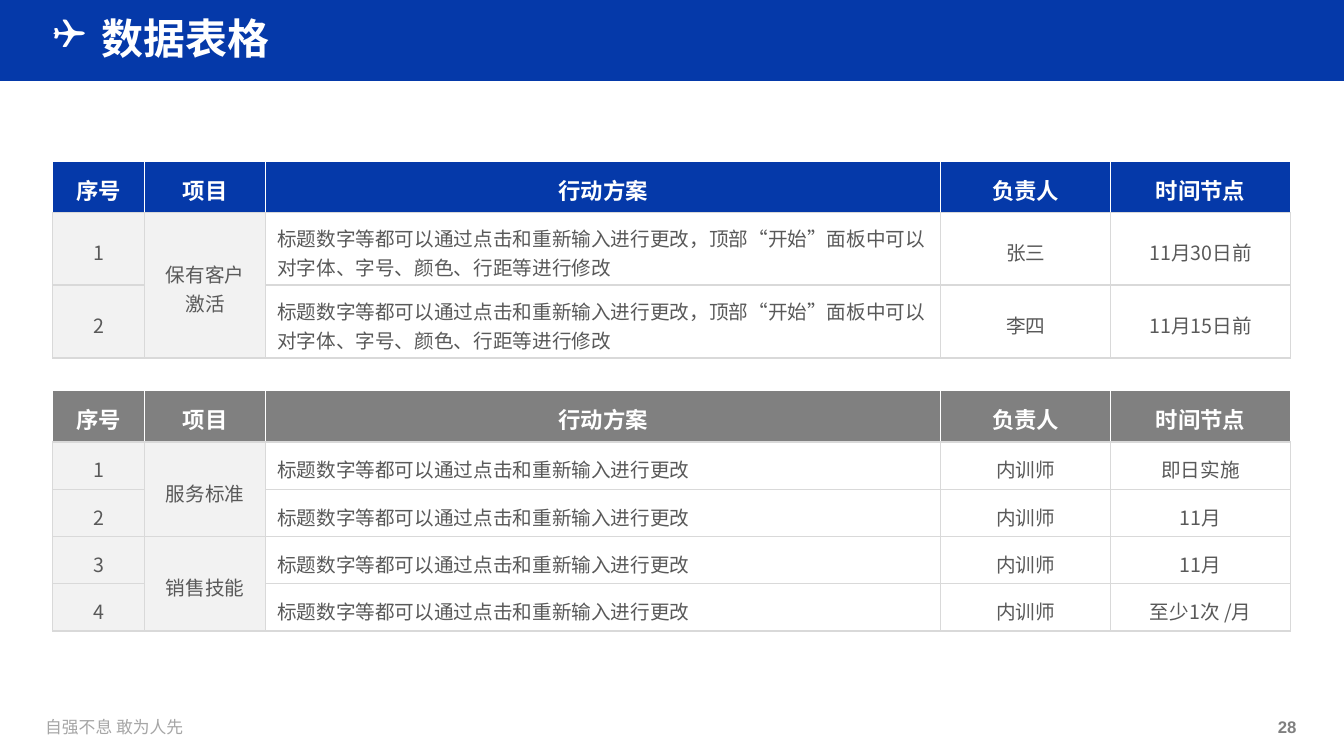
from dataclasses import dataclass

from lxml.etree import SubElement
from pptx import Presentation
from pptx.dml.color import RGBColor
from pptx.enum.shapes import MSO_SHAPE
from pptx.enum.text import MSO_ANCHOR as Anchor, PP_ALIGN as Align
from pptx.oxml.ns import qn
from pptx.util import Emu, Pt

EMU_PER_PX = 9525


@dataclass(frozen=True)
class Theme:
    blue: str = "0539A9"
    gray: str = "808080"
    pale: str = "F2F2F2"
    white: str = "FFFFFF"
    border: str = "D9D9D9"
    body: str = "595959"
    motto: str = "A6A6A6"
    font: str = "Noto Sans CJK SC"
    number_font: str = "Arial"
    title_size: int = 30
    header_size: int = 16
    body_size: int = 14
    footer_size: int = 12


THEME = Theme()
COLUMNS = [88, 115, 643, 162, 171]
HEADERS = ["序号", "项目", "行动方案", "负责人", "时间节点"]
SHORT_PLAN = "标题数字等都可以通过点击和重新输入进行更改"
LONG_PLAN = SHORT_PLAN + "，顶部“开始”面板中可以对字体、字号、颜色、行距等进行修改"
CLIENT_PROJECTS = [
    ("保有客户激活", [(LONG_PLAN, "张三", "11月30日前"),
                (LONG_PLAN, "李四", "11月15日前")]),
]
TRAINING_PROJECTS = [
    ("服务标准", [(SHORT_PLAN, "内训师", "即日实施"),
              (SHORT_PLAN, "内训师", "11月")]),
    ("销售技能", [(SHORT_PLAN, "内训师", "11月"),
              (SHORT_PLAN, "内训师", "至少1次 /月")]),
]


def px(*lengths):
    return [Emu(length * EMU_PER_PX) for length in lengths]


def apply(target, values):
    for name, value in values.items():
        setattr(target, name, value)


def paint(fill, color):
    fill.solid()
    fill.fore_color.rgb = RGBColor.from_string(color)


def write(paragraph, text, size, color, bold=False, font=THEME.font, align=Align.LEFT):
    """Fill a paragraph, naming the font for Latin and East Asian text."""
    paragraph.alignment = align
    run = paragraph.add_run()
    run.text = text
    apply(run.font, {"size": Pt(size), "bold": bold, "name": font})
    run.font.color.rgb = RGBColor.from_string(color)
    SubElement(run.font._element, qn("a:ea"), typeface=font)


def clear_insets(frame):
    apply(frame, {"margin_left": 0, "margin_right": 0, "margin_top": 0, "margin_bottom": 0})


def add_banner(slide):
    banner = slide.shapes.add_shape(MSO_SHAPE.RECTANGLE, *px(0, 0, 1280, 77))
    banner.shadow.inherit = False
    paint(banner.fill, THEME.blue)
    banner.line.fill.background()
    # The banner lies behind the title.
    slide.shapes._spTree.insert(2, banner._element)


def set_title(slide, text):
    title = slide.shapes.title
    apply(title, dict(zip(("left", "top", "width", "height"), px(50, 17, 1179, 43))))
    frame = title.text_frame
    clear_insets(frame)
    apply(frame, {"vertical_anchor": Anchor.MIDDLE, "word_wrap": True})
    paragraph = frame.paragraphs[0]
    paragraph.line_spacing = 0.9
    indent, = px(47)
    properties = paragraph._p.get_or_add_pPr()
    properties.set("marL", str(indent))
    properties.set("indent", str(-indent))
    SubElement(properties, qn("a:buFont"), typeface="Wingdings")
    SubElement(properties, qn("a:buChar"), char="❑")
    write(paragraph, text, THEME.title_size, THEME.white, bold=True)


def add_label(slide, box, text, color, **style):
    label = slide.shapes.add_textbox(*px(*box))
    frame = label.text_frame
    clear_insets(frame)
    apply(frame, {"word_wrap": False, "vertical_anchor": Anchor.MIDDLE})
    write(frame.paragraphs[0], text, THEME.footer_size, color, **style)


def add_borders(cell, sides):
    properties = cell._tc.get_or_add_tcPr()
    for index, side in enumerate(sides):
        line = SubElement(properties, qn(f"a:ln{side}"), w=str(Pt(1)))
        color = SubElement(SubElement(line, qn("a:solidFill")), qn("a:srgbClr"))
        color.set("val", THEME.border)
        properties.insert(index, line)


def fill_cell(cell, text, fill, sides="LRTB", anchor=Anchor.MIDDLE, **style):
    top, bottom, side = px(11, 4, 11)
    apply(cell, {"margin_left": side, "margin_right": side, "margin_top": top,
                 "margin_bottom": bottom, "vertical_anchor": anchor})
    paint(cell.fill, fill)
    add_borders(cell, sides)
    if text:
        write(cell.text_frame.paragraphs[0], text, **style)


def add_plan_table(slide, top, header_height, row_height, header_fill, projects):
    row_total = 1 + sum(len(plans) for _, plans in projects)
    height = header_height + row_height * (row_total - 1)
    frame = slide.shapes.add_table(row_total, len(COLUMNS), *px(50, top, sum(COLUMNS), height))
    table = frame.table
    apply(table, {"first_row": False, "horz_banding": False})
    for column, width in zip(table.columns, px(*COLUMNS)):
        column.width = width
    for row, length in zip(table.rows, px(header_height, *[row_height] * (row_total - 1))):
        row.height = length

    for column, header in enumerate(HEADERS):
        fill_cell(table.cell(0, column), header, header_fill, sides="B", anchor=Anchor.TOP,
                  size=THEME.header_size, color=THEME.white, bold=True, align=Align.CENTER)
    number = 1
    for project, plans in projects:
        first = number
        for plan in plans:
            name = project if number == first else ""
            for column, text in enumerate((str(number), name, *plan)):
                fill_cell(table.cell(number, column), text,
                          THEME.pale if column < 2 else THEME.white,
                          size=THEME.body_size, color=THEME.body,
                          align=Align.LEFT if column == 2 else Align.CENTER)
            number += 1
        table.cell(first, 1).merge(table.cell(number - 1, 1))


def main():
    presentation = Presentation()
    presentation.slide_width, presentation.slide_height = px(1280, 720)
    slide = presentation.slides.add_slide(presentation.slide_layouts[5])
    add_banner(slide)
    set_title(slide, "数据表格")
    add_plan_table(slide, 372, 49, 45, THEME.gray, TRAINING_PROJECTS)
    add_plan_table(slide, 154, 48, 67, THEME.blue, CLIENT_PROJECTS)
    add_label(slide, (43, 683, 132, 19), "自强不息 敢为人先", THEME.motto)
    add_label(slide, (1216, 683, 20, 19), "28", THEME.gray, bold=True,
              font=THEME.number_font, align=Align.CENTER)
    presentation.save("out.pptx")


if __name__ == "__main__":
    main()
